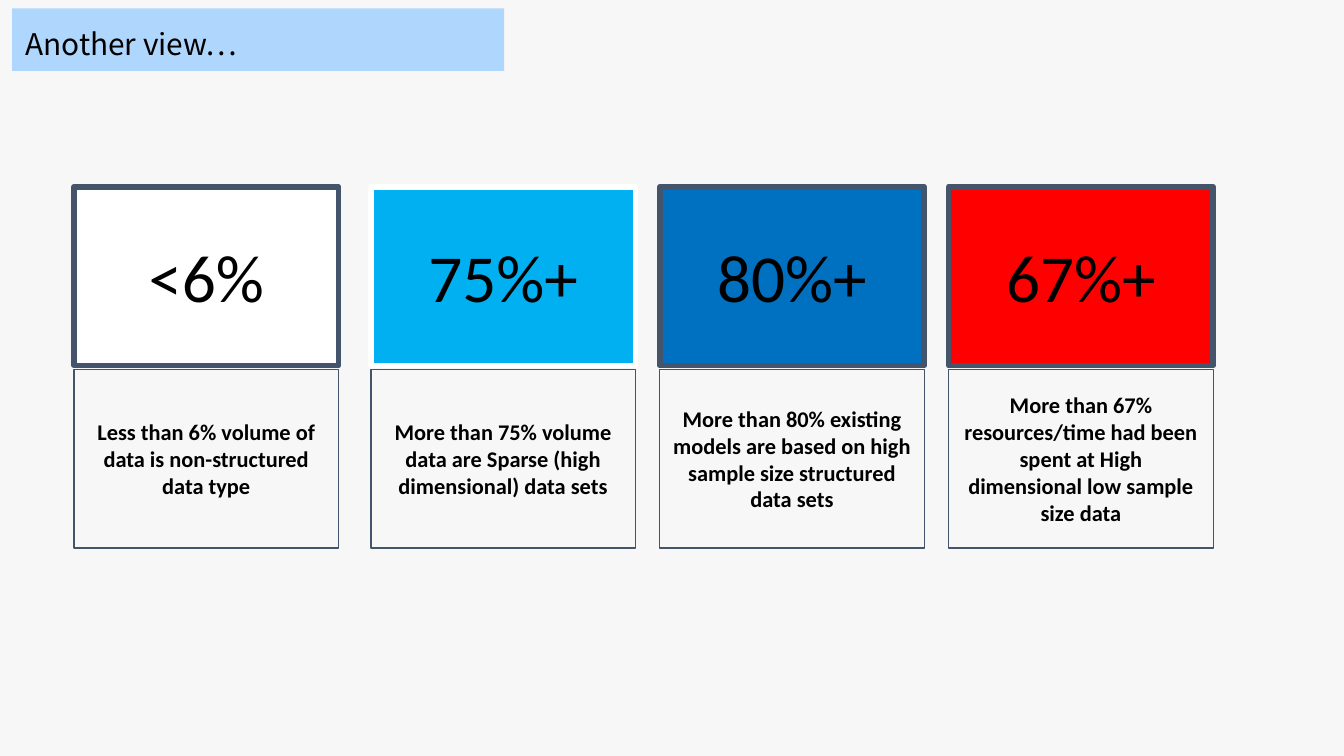
from lxml.etree import SubElement
from pptx import Presentation
from pptx.dml.color import RGBColor
from pptx.enum.shapes import MSO_SHAPE
from pptx.enum.text import MSO_ANCHOR, PP_ALIGN
from pptx.oxml.ns import qn
from pptx.util import Cm, Pt

BLACK = "000000"
WHITE = "FFFFFF"
SLATE = "44546A"

CARD_TOP, CARD_WIDTH, CARD_HEIGHT = 3.53, 5.0, 6.83
TILE_HEIGHT = 3.38

# left (cm), figure, tile fill, tile border, description
CARDS = [
    (1.4, "<6%", WHITE, SLATE,
     "Less than 6% volume of data is non-structured data type"),
    (7.01, "75%+", "00B0F0", WHITE,
     "More than 75% volume data are Sparse (high dimensional) data sets"),
    (12.47, "80%+", "0070C0", SLATE,
     "More than 80% existing models are based on high sample size structured data sets"),
    (17.93, "67%+", "FF0000", SLATE,
     "More than 67% resources/time had been spent at High dimensional low sample size data"),
]


def color(hex_value):
    return RGBColor.from_string(hex_value)


def write_text(shape, text, size, font_name="Calibri", bold=False,
               alignment=PP_ALIGN.CENTER):
    frame = shape.text_frame
    frame.word_wrap = True
    frame.vertical_anchor = MSO_ANCHOR.MIDDLE
    paragraph = frame.paragraphs[0]
    paragraph.text = text
    paragraph.alignment = alignment
    paragraph.font.name = font_name
    paragraph.font.size = Pt(size)
    paragraph.font.bold = bold
    paragraph.font.color.rgb = color(BLACK)
    return paragraph


def add_box(shapes, left, top, width, height, fill=None, border=None, border_width=0.75):
    """Add a rectangle measured in cm; no fill or border when its colour is None."""
    shape = shapes.add_shape(MSO_SHAPE.RECTANGLE, Cm(left), Cm(top), Cm(width), Cm(height))
    shape.shadow.inherit = False
    if fill:
        shape.fill.solid()
        shape.fill.fore_color.rgb = color(fill)
    else:
        shape.fill.background()
    if border:
        shape.line.color.rgb = color(border)
        shape.line.width = Pt(border_width)
    else:
        shape.line.fill.background()
    return shape


def add_title(slide, left, top, width, height, text):
    banner = add_box(slide.shapes, left, top, width, height, fill="99CCFF")
    fill_color = banner.fill._xPr.find(qn("a:solidFill"))[0]
    SubElement(fill_color, qn("a:alpha"), val="76000")
    paragraph = write_text(banner, text, 16, "Noto Sans CJK SC", alignment=PP_ALIGN.JUSTIFY)
    paragraph.line_spacing = 1.2


def add_card(slide, left, top, width, height, figure, fill, border, description):
    """Group a coloured figure tile with the description box below it."""
    shapes = slide.shapes.add_group_shape().shapes
    tile = add_box(shapes, left, top, width, TILE_HEIGHT, fill, border, 3)
    write_text(tile, figure, 36)

    box_top = top + height - TILE_HEIGHT
    description_box = add_box(shapes, left, box_top, width, TILE_HEIGHT, border=SLATE)
    description_box.text_frame.margin_left = Cm(0.22)
    description_box.text_frame.margin_right = Cm(0.22)
    write_text(description_box, description, 12, bold=True)


def main():
    presentation = Presentation()
    presentation.slide_width = Cm(25.4)
    presentation.slide_height = Cm(14.29)
    slide = presentation.slides.add_slide(presentation.slide_layouts[6])
    slide.background.fill.solid()
    slide.background.fill.fore_color.rgb = color("F7F7F7")

    add_title(slide, 0.23, 0.16, 9.3, 1.18, "Another view…")
    for left, *content in CARDS:
        add_card(slide, left, CARD_TOP, CARD_WIDTH, CARD_HEIGHT, *content)

    presentation.save("out.pptx")


if __name__ == "__main__":
    main()
